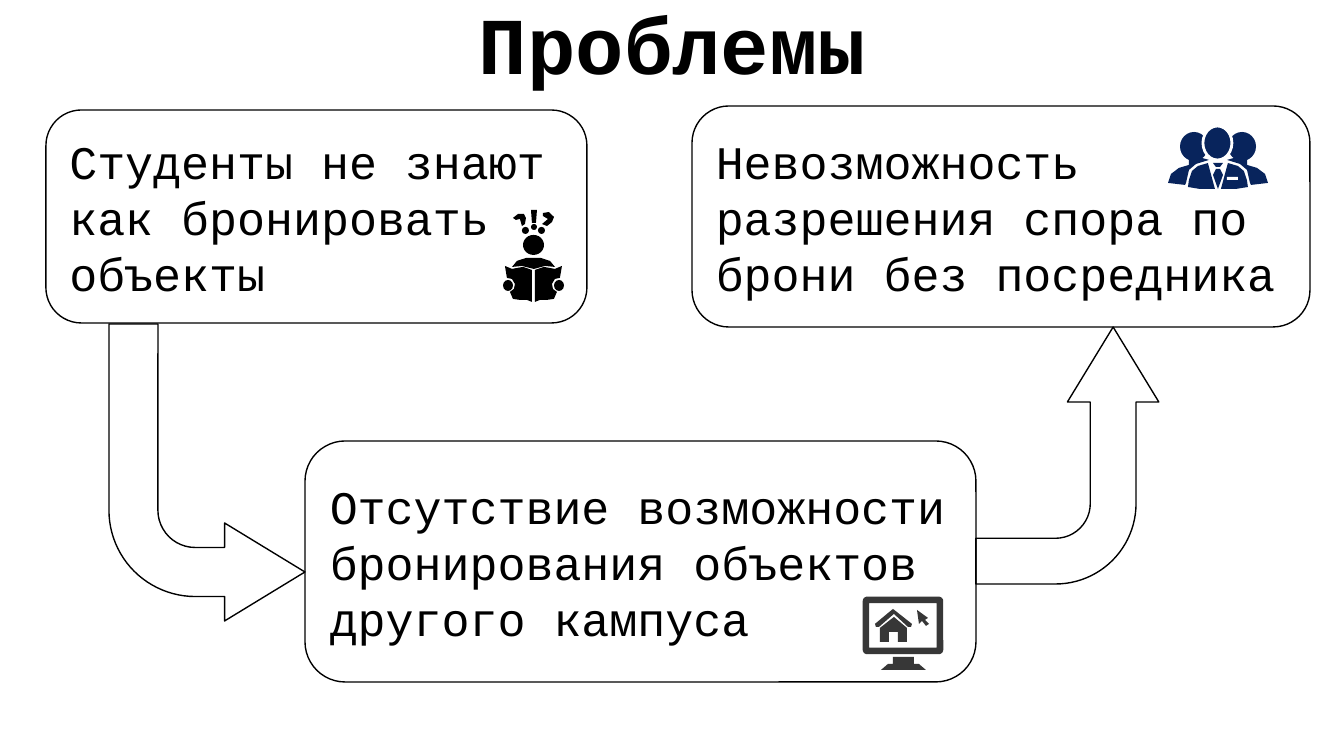
from dataclasses import dataclass

from pptx import Presentation
from pptx.dml.color import RGBColor
from pptx.enum.shapes import MSO_SHAPE
from pptx.enum.text import MSO_ANCHOR, PP_ALIGN
from pptx.util import Pt

ROUNDED = MSO_SHAPE.ROUNDED_RECTANGLE
BENT_ARROW = MSO_SHAPE.BENT_ARROW
OVAL = MSO_SHAPE.OVAL
RECTANGLE = MSO_SHAPE.RECTANGLE
MIDDLE = MSO_ANCHOR.MIDDLE
CENTER, LEFT = PP_ALIGN.CENTER, PP_ALIGN.LEFT


@dataclass(frozen=True)
class Theme:
    font: str = "Courier New"
    title_size: float = 43.2
    body_size: int = 25
    line_width: float = 0.75
    black: str = "000000"
    white: str = "FFFFFF"
    navy: str = "08245C"
    gray: str = "373737"


THEME = Theme()
EMU_PER_PX = 914400 / 134.4
SLIDE_SIZE = (1344, 756)
INSET = 13

TITLE = ("Проблемы", (46, 0, 1253, 85))
PROBLEMS = [
    ("Студенты не знают как бронировать объекты", (46, 110, 541, 213)),
    ("Отсутствие возможности бронирования объектов другого кампуса", (305, 441, 671, 241)),
    ("Невозможность разрешения спора по брони без посредника", (692, 106, 618, 221)),
]
ARROWS = [
    ((109, 324, 196, 297), 180, (0.25, 0.25, 0.41, 0.44)),
    ((939, 364, 257, 183), 90, (0.25, 0.25, 0.41, 0.44)),
]

PEOPLE_AXIS = 1218
PEOPLE_HEAD = (1203, 126, 29, 34)
SIDE_HEAD = (1180, 132, 28, 29)
SIDE_BODY = [(1168, 183), (1171, 174), (1179, 168), (1189, 165), (1189, 158), (1202, 158),
             (1209, 160), (1196, 164), (1189, 170), (1186, 183), (1185, 185)]
COAT = [(1188, 187), (1189, 180), (1192, 171), (1198, 166), (1208, 163), (1215, 189), (1200, 189)]
KNOT = [(1213, 163), (1223, 163), (1220, 167), (1216, 167)]
TIE = [(1216, 169), (1220, 169), (1223, 175), (1218, 189), (1213, 175)]
POCKET = (1227, 177, 11, 3)

READER_AXIS = 533.5
READER_HEAD = (523, 235, 21, 20)
SHOULDERS = [(512, 267), (517, 261), (526, 258), (541, 258), (550, 261), (555, 267),
             (545, 266), (534, 269), (522, 266)]
PAGE = [(505, 266), (512, 269), (523, 267), (532, 270), (532, 302), (527, 300), (520, 300),
        (513, 299), (510, 292), (514, 289), (515, 284), (512, 279), (507, 278)]
HAND = (503, 280, 10, 11)
MARKS = [
    [(531, 210), (537, 210), (536, 223), (532, 223)],
    [(513, 218), (518, 214), (524, 214), (526, 218), (525, 224), (522, 226), (520, 219), (516, 220)],
    [(543, 213), (549, 212), (554, 217), (552, 222), (547, 226), (542, 224), (548, 219), (543, 216)],
]
DOTS = [(531, 224, 6, 6), (522, 227, 7, 7), (538, 227, 7, 7)]

SCREEN = (866, 600, 74, 51)
SCREEN_PARTS = [
    [(893, 657), (914, 657), (914, 664), (919, 664), (926, 670), (881, 670), (888, 664), (893, 664)],
    [(917, 610), (928, 618), (925, 620), (929, 624), (926, 626), (922, 621), (919, 624)],
    [(880, 628), (894, 617), (907, 628), (907, 642), (898, 642), (898, 632), (889, 632),
     (889, 642), (880, 642)],
    [(875, 624), (893, 609), (912, 624), (911, 627), (908, 627), (894, 614), (879, 627), (876, 627)],
]


def px(value):
    return round(value * EMU_PER_PX)


def style(shape, fill=None, line=None, width=THEME.line_width):
    shape.shadow.inherit = False
    if fill:
        shape.fill.solid()
        shape.fill.fore_color.rgb = RGBColor.from_string(fill)
    else:
        shape.fill.background()
    if line:
        shape.line.color.rgb = RGBColor.from_string(line)
        shape.line.width = Pt(width)
    else:
        shape.line.fill.background()


def add_shape(slide, kind, box, **look):
    shape = slide.shapes.add_shape(kind, *map(px, box))
    style(shape, **look)
    return shape


def add_polygon(slide, points, color):
    builder = slide.shapes.build_freeform(*points[0], scale=EMU_PER_PX)
    builder.add_line_segments(points[1:], close=True)
    style(builder.convert_to_shape(), fill=color)


def add_mirrored_polygons(slide, points, axis, color):
    add_polygon(slide, points, color)
    add_polygon(slide, [(2 * axis - x, y) for x, y in points], color)


def add_mirrored_ovals(slide, box, axis, color):
    left, top, width, height = box
    for start in (left, 2 * axis - left - width):
        add_shape(slide, OVAL, (start, top, width, height), fill=color)


def write_text(shape, text, size, align, bold=False):
    frame = shape.text_frame
    frame.word_wrap = True
    frame.vertical_anchor = MIDDLE
    frame.margin_left = frame.margin_right = frame.margin_top = frame.margin_bottom = px(INSET)
    paragraph = frame.paragraphs[0]
    paragraph.text = text
    paragraph.alignment = align
    paragraph.font.name = THEME.font
    paragraph.font.size = Pt(size)
    paragraph.font.bold = bold
    paragraph.font.color.rgb = RGBColor.from_string(THEME.black)


def add_arrow(slide, box, rotation, adjustments):
    arrow = add_shape(slide, BENT_ARROW, box, line=THEME.black)
    for index, value in enumerate(adjustments):
        arrow.adjustments[index] = value
    arrow.rotation = rotation
    arrow._element.spPr.xfrm.set("flipH", "1")


def add_people(slide):
    add_mirrored_ovals(slide, SIDE_HEAD, PEOPLE_AXIS, THEME.navy)
    for points in (SIDE_BODY, COAT):
        add_mirrored_polygons(slide, points, PEOPLE_AXIS, THEME.navy)
    for points in (KNOT, TIE):
        add_polygon(slide, points, THEME.navy)
    add_shape(slide, OVAL, PEOPLE_HEAD, fill=THEME.navy, line=THEME.white, width=1.5)
    add_shape(slide, RECTANGLE, POCKET, fill=THEME.white)


def add_reader(slide):
    for box in [READER_HEAD, *DOTS]:
        add_shape(slide, OVAL, box, fill=THEME.black)
    for points in [SHOULDERS, *MARKS]:
        add_polygon(slide, points, THEME.black)
    add_mirrored_polygons(slide, PAGE, READER_AXIS, THEME.black)
    add_mirrored_ovals(slide, HAND, READER_AXIS, THEME.black)


def add_screen(slide):
    screen = add_shape(slide, ROUNDED, SCREEN, line=THEME.gray, width=3.5)
    screen.adjustments[0] = 0.02
    for points in SCREEN_PARTS:
        add_polygon(slide, points, THEME.gray)


def main():
    presentation = Presentation()
    presentation.slide_width, presentation.slide_height = map(px, SLIDE_SIZE)
    slide = presentation.slides.add_slide(presentation.slide_layouts[6])

    text, box = TITLE
    title = slide.shapes.add_textbox(*map(px, box))
    write_text(title, text, THEME.title_size, CENTER, bold=True)

    for text, box in PROBLEMS:
        problem = add_shape(slide, ROUNDED, box, line=THEME.black)
        write_text(problem, text, THEME.body_size, LEFT)
    for arrow in ARROWS:
        add_arrow(slide, *arrow)

    add_people(slide)
    add_reader(slide)
    add_screen(slide)
    presentation.save("out.pptx")


if __name__ == "__main__":
    main()
